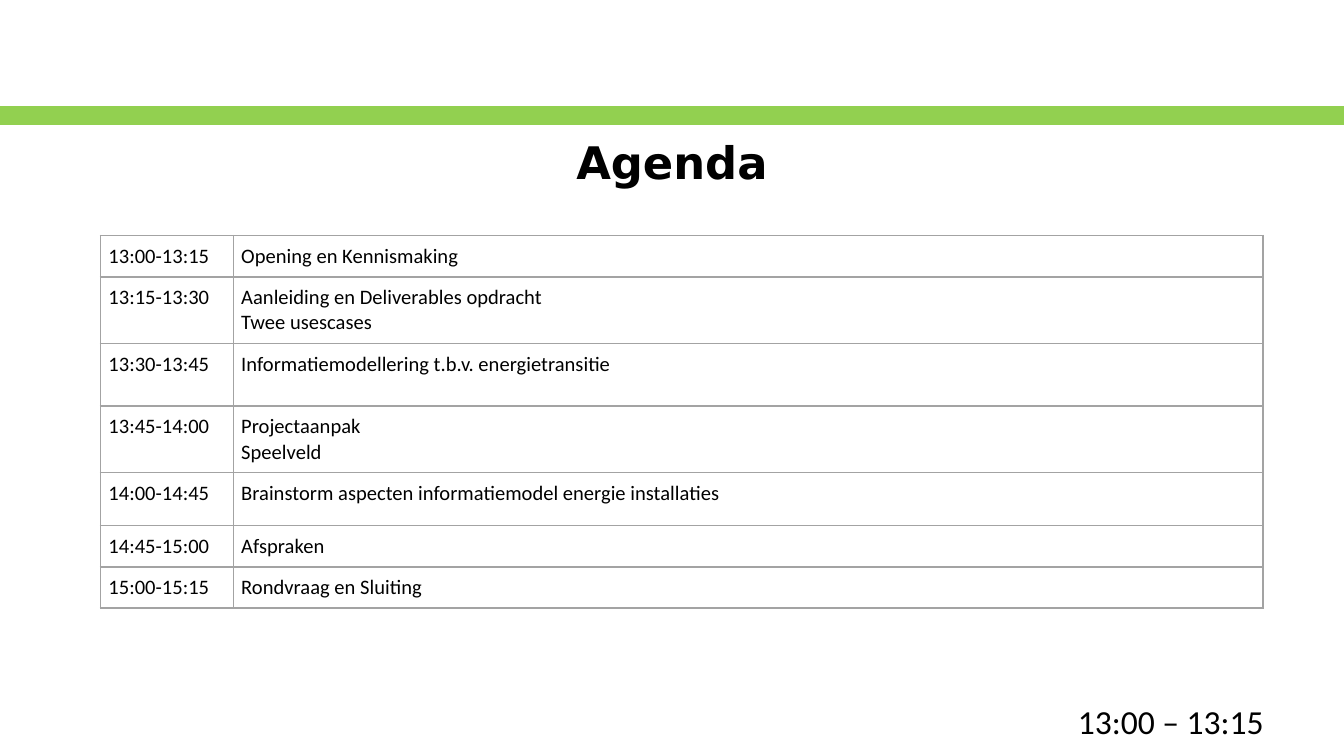
from dataclasses import dataclass

from lxml.etree import SubElement
from pptx import Presentation
from pptx.dml.color import RGBColor
from pptx.enum.shapes import MSO_SHAPE as Shape
from pptx.enum.text import MSO_ANCHOR as Anchor, PP_ALIGN as Align
from pptx.oxml.ns import qn
from pptx.util import Cm, Pt

COLORS = {"bar": "92D050", "text": "000000", "border": "A3A3A3"}
COLUMN_WIDTHS = (2.51, 19.46)
CELL_MARGIN = 0.15


@dataclass(frozen=True)
class AgendaItem:
    time: str
    topics: tuple[str, ...]
    height: float


@dataclass(frozen=True)
class Label:
    text: str
    box: tuple[float, float, float, float]
    font: str
    size: int
    bold: bool
    align: Align
    anchor: Anchor
    wrap: bool


AGENDA = (
    AgendaItem("13:00-13:15", ("Opening en Kennismaking",), 0.75),
    AgendaItem("13:15-13:30", ("Aanleiding en Deliverables opdracht", "Twee usescases"), 1.24),
    AgendaItem("13:30-13:45", ("Informatiemodellering t.b.v. energietransitie",), 1.18),
    AgendaItem("13:45-14:00", ("Projectaanpak", "Speelveld"), 1.24),
    AgendaItem("14:00-14:45", ("Brainstorm aspecten informatiemodel energie installaties",), 1),
    AgendaItem("14:45-15:00", ("Afspraken",), 0.75),
    AgendaItem("15:00-15:15", ("Rondvraag en Sluiting",), 0.75),
)

LABELS = (
    Label("Agenda", (1.27, 2.36, 22.86, 1.37), "DejaVu Sans", 24, True,
          Align.CENTER, Anchor.MIDDLE, True),
    Label("13:00 – 13:15", (20.12, 13.11, 4.06, 1.02), "Calibri", 18, False,
          Align.LEFT, Anchor.TOP, False),
)


def color(name: str) -> RGBColor:
    return RGBColor.from_string(COLORS[name])


def add_run(p, text: str, font: str, size: int, bold: bool = False) -> None:
    r = p.add_run()
    r.text = text
    r.font.name = font
    r.font.size = Pt(size)
    r.font.bold = bold
    r.font.color.rgb = color("text")


def add_bar(s) -> None:
    sp = s.shapes.add_shape(Shape.RECTANGLE, Cm(0), Cm(2.03), Cm(25.4), Cm(0.3))
    sp.shadow.inherit = False
    sp.fill.solid()
    sp.fill.fore_color.rgb = color("bar")
    sp.line.color.rgb = color("bar")
    sp.line.width = Pt(2)


def add_label(s, label: Label) -> None:
    tf = s.shapes.add_textbox(*map(Cm, label.box)).text_frame
    tf.word_wrap = label.wrap
    tf.vertical_anchor = label.anchor
    p = tf.paragraphs[0]
    p.alignment = label.align
    add_run(p, label.text, label.font, label.size, label.bold)


def set_borders(cell) -> None:
    tc_pr = cell._tc.get_or_add_tcPr()
    for index, side in enumerate(("lnL", "lnR", "lnT", "lnB")):
        line = SubElement(tc_pr, qn(f"a:{side}"), w=str(Pt(1)))
        fill = SubElement(line, qn("a:solidFill"))
        SubElement(fill, qn("a:srgbClr"), val=COLORS["border"])
        tc_pr.remove(line)
        tc_pr.insert(index, line)


def fill_cell(cell, lines: tuple[str, ...]) -> None:
    cell.fill.background()
    cell.margin_left = cell.margin_right = Cm(CELL_MARGIN)
    cell.margin_top = cell.margin_bottom = Cm(CELL_MARGIN)
    set_borders(cell)
    tf = cell.text_frame
    for index, line in enumerate(lines):
        p = tf.add_paragraph() if index else tf.paragraphs[0]
        add_run(p, line, "Calibri", 11)


def add_agenda(s, items: tuple[AgendaItem, ...]) -> None:
    height = sum(item.height for item in items)
    table = s.shapes.add_table(len(items), len(COLUMN_WIDTHS), Cm(1.9), Cm(4.45),
                               Cm(sum(COLUMN_WIDTHS)), Cm(height)).table
    table.first_row = False
    table.horz_banding = False
    for column, width in zip(table.columns, COLUMN_WIDTHS):
        column.width = Cm(width)
    for index, item in enumerate(items):
        table.rows[index].height = Cm(item.height)
        fill_cell(table.cell(index, 0), (item.time,))
        fill_cell(table.cell(index, 1), item.topics)


def main() -> None:
    prs = Presentation()
    prs.slide_width = Cm(25.4)
    prs.slide_height = Cm(14.28)
    s = prs.slides.add_slide(prs.slide_layouts[6])
    add_bar(s)
    add_agenda(s, AGENDA)
    for label in LABELS:
        add_label(s, label)
    prs.save("out.pptx")


if __name__ == "__main__":
    main()
